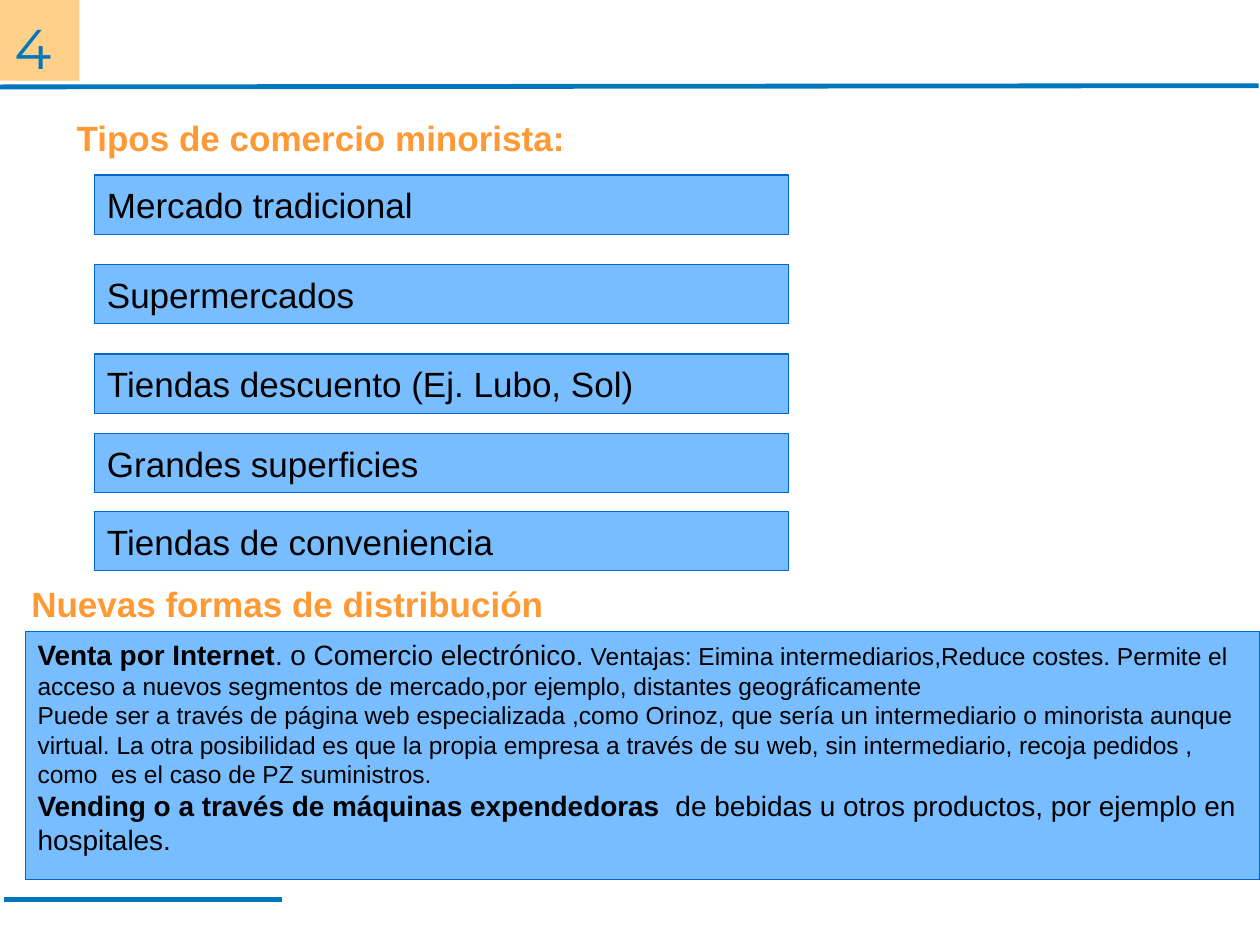
import pptx
import pptx.util
import pptx.dml.color
import pptx.enum.shapes
import pptx.enum.text
import pptx.oxml.ns
import lxml.etree

SHAPES = pptx.enum.shapes.MSO_SHAPE
ANCHOR = pptx.enum.text.MSO_ANCHOR
ALIGN = pptx.enum.text.PP_ALIGN


def color(hex_value):
    return pptx.dml.color.RGBColor.from_string(hex_value)


def write(paragraph, text, size=20, font="Arial", ink="000000", bold=False):
    run = paragraph.add_run()
    run.text = text
    run.font.size = pptx.util.Pt(size)
    run.font.name = font
    run.font.bold = bold
    run.font.color.rgb = color(ink)


class Page:
    """Style and current slide; lengths are cells of a 100 x 75 grid."""
    BLUE, PANEL, EDGE = "0077BD", "77BDFF", "0066CC"
    ORANGE, HEADING = "FF9900", "FF9933"
    COLUMNS, ROWS = 100, 75

    def __init__(self, deck):
        self.slide = deck.slides.add_slide(deck.slide_layouts[6])
        self.cell_width = deck.slide_width / self.COLUMNS
        self.cell_height = deck.slide_height / self.ROWS

    def x(self, columns):
        return round(columns * self.cell_width)

    def y(self, rows):
        return round(rows * self.cell_height)

    def area(self, left, top, width, height):
        return self.x(left), self.y(top), self.x(width), self.y(height)

    def frame(self, shape, insets, anchor):
        frame = shape.text_frame
        frame.word_wrap = True
        frame.vertical_anchor = anchor
        frame.margin_left, frame.margin_right = map(self.x, insets[:2])
        frame.margin_top = frame.margin_bottom = self.y(insets[2])
        return frame

    def rule(self, start, end):
        line = self.slide.shapes.add_connector(
            pptx.enum.shapes.MSO_CONNECTOR.STRAIGHT,
            self.x(start[0]), self.y(start[1]), self.x(end[0]), self.y(end[1]))
        line.line.color.rgb = color(self.BLUE)
        line.line.width = pptx.util.Pt(2.75)
        lxml.etree.SubElement(line._element.spPr, pptx.oxml.ns.qn("a:effectLst"))

    def badge(self, text, *place):
        square = self.slide.shapes.add_shape(SHAPES.RECTANGLE, *self.area(*place))
        square.shadow.inherit = False
        square.fill.solid()
        square.fill.fore_color.rgb = color(self.ORANGE)
        tint = square._element.spPr.find(".//" + pptx.oxml.ns.qn("a:srgbClr"))
        lxml.etree.SubElement(tint, pptx.oxml.ns.qn("a:alpha"), val="46000")
        square.line.fill.background()
        paragraph = self.frame(square, (1.15, 0, 0), ANCHOR.TOP).paragraphs[0]
        paragraph.alignment = ALIGN.LEFT
        paragraph.line_spacing = 1.2
        write(paragraph, text, size=32, font="Montserrat", ink=self.BLUE)

    def heading(self, text, *place):
        box = self.slide.shapes.add_textbox(*self.area(*place))
        paragraph = self.frame(box, (1, 1, 0.1), ANCHOR.MIDDLE).paragraphs[0]
        paragraph.line_spacing = 1.45
        write(paragraph, text, ink=self.HEADING, bold=True)

    def panel(self, paragraphs, *place, anchor=ANCHOR.MIDDLE):
        """Each paragraph is a list of (text, format) runs."""
        box = self.slide.shapes.add_shape(SHAPES.FLOWCHART_PROCESS, *self.area(*place))
        box.shadow.inherit = False
        box.fill.solid()
        box.fill.fore_color.rgb = color(self.PANEL)
        box.line.color.rgb = color(self.EDGE)
        box.line.width = pptx.util.Pt(0.75)
        frame = self.frame(box, (1, 1, 0.5), anchor)
        for index, runs in enumerate(paragraphs):
            paragraph = frame.add_paragraph() if index else frame.paragraphs[0]
            paragraph.alignment = ALIGN.LEFT
            for text, look in runs:
                write(paragraph, text, **look)


LEAD = {"size": 16, "bold": True}
PLAIN = {"size": 16}
DETAIL = {"size": 14}

RETAIL_TYPES = [
    ("Mercado tradicional", 13.9),
    ("Supermercados", 21),
    ("Tiendas descuento (Ej. Lubo, Sol)", 28.1),
    ("Grandes superficies", 34.4),
    ("Tiendas de conveniencia", 40.6),
]

NEW_CHANNELS = [
    [("Venta por Internet", LEAD),
     (". o Comercio electrónico.", PLAIN),
     (" Ventajas: Eimina intermediarios,Reduce costes. Permite el acceso a nuevos "
      "segmentos de mercado,por ejemplo, distantes geográficamente", DETAIL)],
    [("Puede ser a través de página web especializada ,como Orinoz, que sería un "
      "intermediario o minorista aunque virtual. La otra posibilidad es que la propia "
      "empresa a través de su web, sin intermediario, recoja pedidos , como  es el caso "
      "de PZ suministros.", DETAIL)],
    [("Vending o a través de máquinas expendedoras  ", LEAD),
     ("de bebidas u otros productos, por ejemplo en hospitales.", PLAIN)],
]


def main():
    deck = pptx.Presentation()
    deck.slide_width = pptx.util.Inches(10)
    deck.slide_height = pptx.util.Inches(7.5)
    page = Page(deck)

    # Header and footer
    page.rule((-0.1, 6.9), (99.9, 6.8))
    page.badge("4", 0, 0, 6.3, 6.4)
    page.rule((0.3, 71.4), (22.4, 71.4))

    # Retail types
    page.heading("Tipos de comercio minorista:", 5.1, 7.6, 91.3, 5.1)
    for name, top in RETAIL_TYPES:
        page.panel([[(name, {})]], 7.5, top, 55.1, 4.7)

    # New forms of distribution
    page.panel(NEW_CHANNELS, 2, 50.1, 98, 19.7, anchor=ANCHOR.TOP)
    page.heading("Nuevas formas de distribución", 1.5, 44.6, 90.6, 5.1)

    deck.save("out.pptx")


if __name__ == "__main__":
    main()
